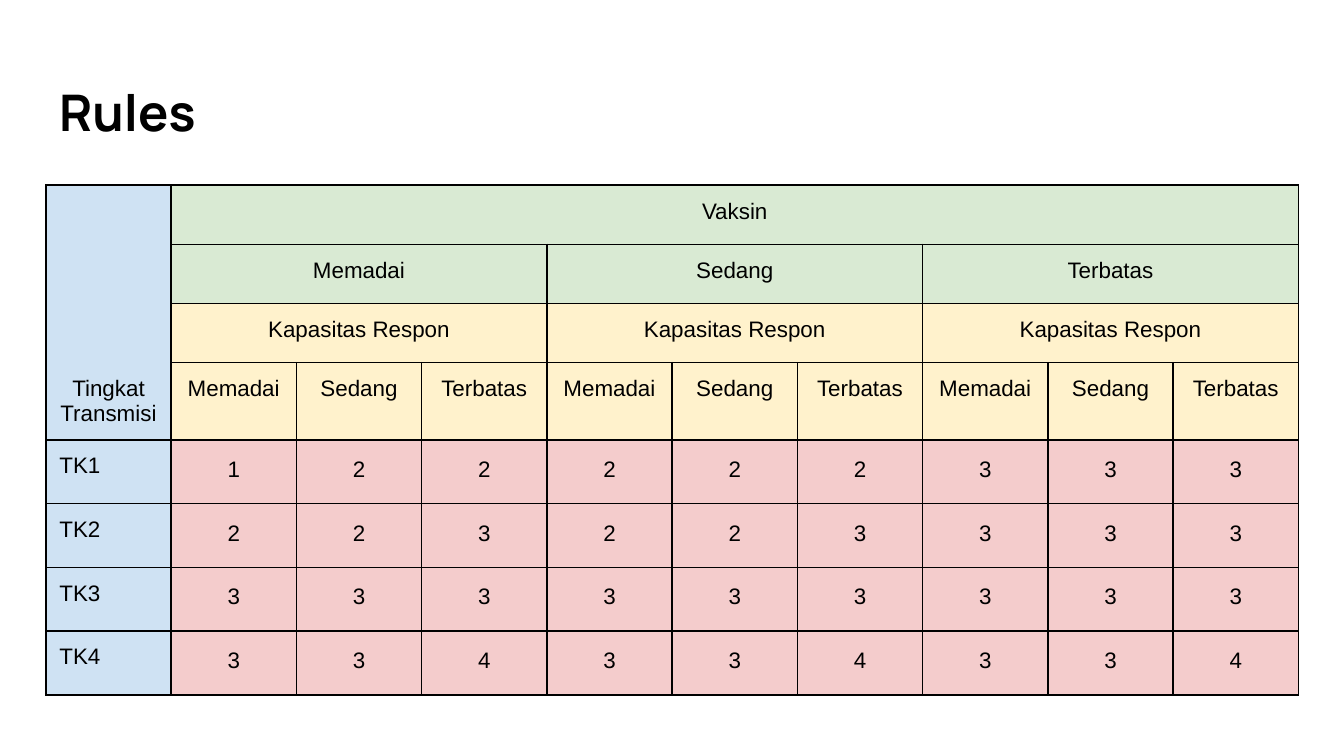
import lxml.etree
import pptx
import pptx.dml.color
import pptx.enum.text
import pptx.oxml.ns
import pptx.util

Pt = pptx.util.Pt
RGB = pptx.dml.color.RGBColor
ALIGN = pptx.enum.text.PP_ALIGN
ANCHOR = pptx.enum.text.MSO_ANCHOR
qn = pptx.oxml.ns.qn

BLACK = RGB(0x00, 0x00, 0x00)
BLUE = RGB(0xCF, 0xE2, 0xF3)
GREEN = RGB(0xD9, 0xEA, 0xD3)
CREAM = RGB(0xFF, 0xF2, 0xCC)
PINK = RGB(0xF4, 0xCC, 0xCC)

PAD = Pt(7.2)
LEVELS = ["Memadai", "Sedang", "Terbatas"]
HEAD = 4  # header rows
RULES = {
    "TK1": [1, 2, 2, 2, 2, 2, 3, 3, 3],
    "TK2": [2, 2, 3, 2, 2, 3, 3, 3, 3],
    "TK3": [3, 3, 3, 3, 3, 3, 3, 3, 3],
    "TK4": [3, 3, 4, 3, 3, 4, 3, 3, 4],
}


def write(frame, text, size=12, font="Arial", bold=False,
          align=ALIGN.CENTER, space=1.0):
    """Put one formatted paragraph into a text frame."""
    para = frame.paragraphs[0]
    para.alignment = align
    para.line_spacing = space
    run = para.add_run()
    run.text = text
    run.font.size = Pt(size)
    run.font.name = font
    run.font.bold = bold
    run.font.color.rgb = BLACK


def border(cell):
    """Draw a thin black line on all four sides of a cell."""
    props = cell._tc.get_or_add_tcPr()
    for side in ("a:lnL", "a:lnR", "a:lnT", "a:lnB"):
        line = lxml.etree.SubElement(props, qn(side), w=str(Pt(1)))
        fill = lxml.etree.SubElement(line, qn("a:solidFill"))
        lxml.etree.SubElement(fill, qn("a:srgbClr"), val=str(BLACK))


def put(grid, row, col, text, color, rows=1, cols=1, anchor=ANCHOR.TOP, **style):
    """Fill a cell, merged over rows and cols, with text and colour."""
    cell = grid.cell(row, col)
    if rows * cols > 1:
        cell.merge(grid.cell(row + rows - 1, col + cols - 1))
    cell.fill.solid()
    cell.fill.fore_color.rgb = color
    cell.margin_left = cell.margin_right = PAD
    cell.margin_top = cell.margin_bottom = PAD
    cell.vertical_anchor = anchor
    write(cell.text_frame, text, **style)


def add_title(slide):
    title = slide.shapes.title
    title.left, title.top = Pt(24.5), Pt(35)
    title.width, title.height = Pt(671), Pt(49)
    frame = title.text_frame
    frame.margin_left = frame.margin_right = PAD
    frame.margin_top = frame.margin_bottom = PAD
    frame.vertical_anchor = ANCHOR.MIDDLE
    write(frame, "Rules", size=27, font="Manrope", bold=True, align=ALIGN.LEFT)


def add_grid(slide):
    count = HEAD + len(RULES)
    grid = slide.shapes.add_table(
        count, 10, Pt(24.6), Pt(99.2), Pt(671), Pt(263.6)).table
    grid.first_row = grid.horz_banding = False
    for col in grid.columns:
        col.width = Pt(67.1)
    for index, row in enumerate(grid.rows):
        row.height = Pt(31.7 if index < HEAD else 34.2)
    for cell in grid.iter_cells():
        border(cell)

    # Header rows
    put(grid, 0, 0, "Tingkat Transmisi", BLUE, rows=HEAD, anchor=ANCHOR.BOTTOM)
    put(grid, 0, 1, "Vaksin", GREEN, cols=9)
    for group, level in enumerate(LEVELS):
        left = 1 + 3 * group
        put(grid, 1, left, level, GREEN, cols=3)
        put(grid, 2, left, "Kapasitas Respon", CREAM, cols=3)
        for step, name in enumerate(LEVELS):
            put(grid, 3, left + step, name, CREAM)

    # Rule rows
    for row, (name, values) in enumerate(RULES.items(), HEAD):
        put(grid, row, 0, name, BLUE, align=ALIGN.LEFT)
        for col, value in enumerate(values, 1):
            put(grid, row, col, str(value), PINK, space=1.15)


def main():
    deck = pptx.Presentation()
    deck.slide_width, deck.slide_height = Pt(720), Pt(405)
    slide = deck.slides.add_slide(deck.slide_layouts[5])
    add_title(slide)
    add_grid(slide)
    deck.save("out.pptx")


if __name__ == "__main__":
    main()
